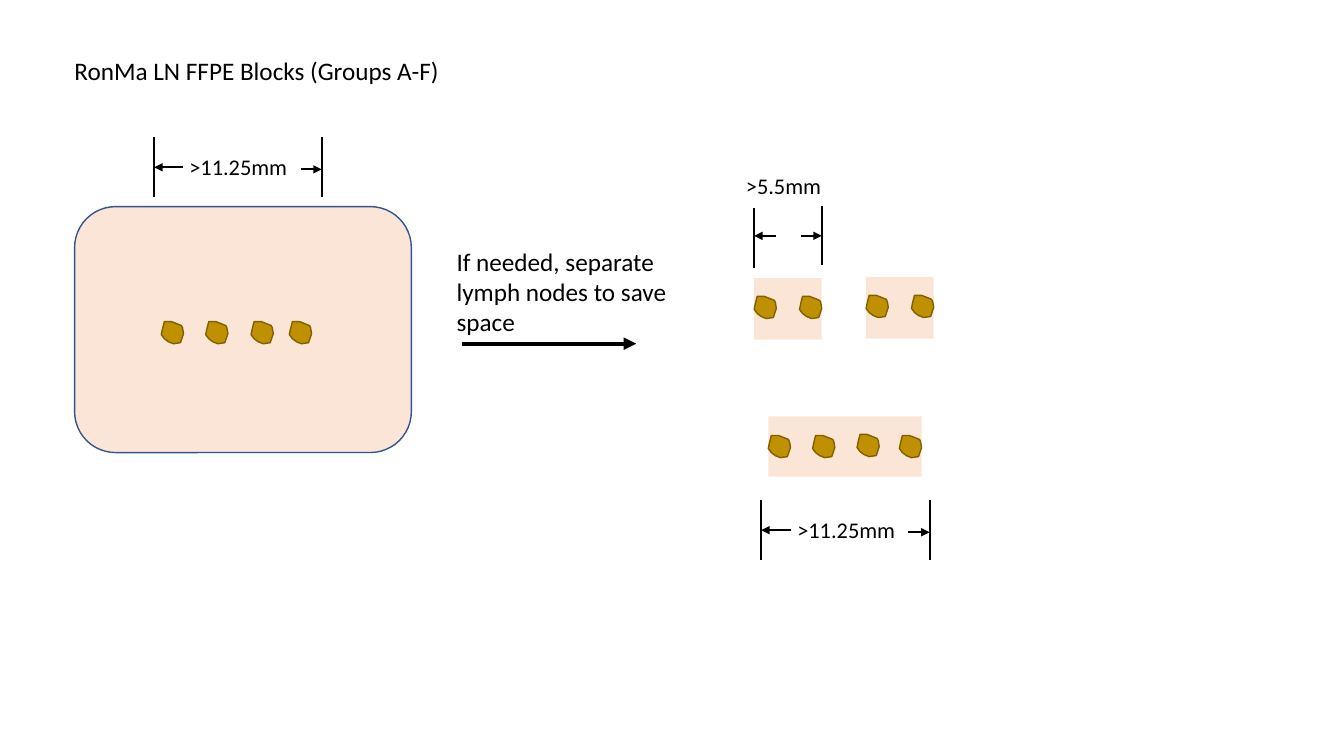
from lxml.etree import SubElement
from pptx import Presentation
from pptx.dml.color import RGBColor
from pptx.enum.shapes import MSO_CONNECTOR, MSO_SHAPE
from pptx.enum.text import MSO_AUTO_SIZE
from pptx.oxml.ns import qn
from pptx.util import Inches, Pt

# Content, lengths in inches
THEME = {
    "font": "Calibri", "text": "000000", "big": 18, "small": 16,
    "tissue": "FBE5D6", "block_line": "325491",
    "node": "BF9000", "node_line": "806000",
    "thin": 1, "rule": 1.5, "thick": 3,
}
TEXTS = [  # left, top, width, height, size, wording
    (1.78, 1.47, 1.74, 0.37, "small", ">11.25mm"),
    (4.43, 2.39, 2.4, 1.01, "big", "If needed, separate lymph nodes to save space"),
    (0.64, 0.5, 4.14, 0.4, "big", "RonMa LN FFPE Blocks (Groups A-F)"),
    (7.81, 5.07, 1.74, 0.37, "small", ">11.25mm"),
    (7.3, 1.66, 1.74, 0.37, "small", ">5.5mm"),
]
BLOCKS = [  # shape, left, top, width, height, outlined, node places
    (MSO_SHAPE.ROUNDED_RECTANGLE, 0.74, 2.05, 3.34, 2.44, True,
     [(1.6, 3.19), (2.04, 3.19), (2.49, 3.19), (2.87, 3.19)]),
    (MSO_SHAPE.RECTANGLE, 7.62, 4.13, 1.52, 0.6, False,
     [(7.62, 4.32), (8.06, 4.32), (8.5, 4.31), (8.92, 4.32)]),
    (MSO_SHAPE.RECTANGLE, 7.48, 2.76, 0.67, 0.61, False,
     [(7.48, 2.94), (7.93, 2.94)]),
    (MSO_SHAPE.RECTANGLE, 8.59, 2.75, 0.67, 0.61, False,
     [(8.59, 2.93), (9.04, 2.93)]),
]
DIMENSIONS = [  # each side: x of rule, top, bottom, arrow start x, arrow y
    ((3.19, 1.36, 1.95, 2.99, 1.68), (1.53, 1.36, 1.95, 1.82, 1.66)),
    ((9.22, 4.96, 5.56, 9.01, 5.28), (7.55, 4.96, 5.56, 7.85, 5.26)),
    ((8.15, 2.04, 2.63, 7.94, 2.34), (7.48, 2.06, 2.66, 7.7, 2.34)),
]
STEP_ARROW = (4.58, 3.41, 6.31, 3.41)
# Lymph node outline, in hundredths of an inch from its left top corner
NODE_OUTLINE = [
    (3, 0), (1, 8), (0, 13), (3, 17), (7, 20), (12, 22), (19, 21), (20, 18),
    (22, 12), (21, 6), (20, 4), (15, 2), (10, 0), (8, 0),
]


def rgb(name):
    return RGBColor.from_string(THEME[name])


def paint(sp, fill, line=None):
    sp.shadow.inherit = False
    sp.fill.solid()
    sp.fill.fore_color.rgb = rgb(fill)
    if line:
        sp.line.color.rgb = rgb(line)
        sp.line.width = Pt(THEME["thin"])
    else:
        sp.line.fill.background()


def add_node(shapes, left, top):
    start, *rest = [(Inches(left + x / 100), Inches(top + y / 100))
                    for x, y in NODE_OUTLINE]
    fb = shapes.build_freeform(*start, scale=1.0)
    fb.add_line_segments(rest, close=True)
    paint(fb.convert_to_shape(), "node", "node_line")


def add_line(shapes, x1, y1, x2, y2, weight="rule", arrow=False):
    line = shapes.add_connector(MSO_CONNECTOR.STRAIGHT,
                                *[Inches(v) for v in (x1, y1, x2, y2)])
    line.line.color.rgb = rgb("text")
    line.line.width = Pt(THEME[weight])
    if arrow:
        SubElement(line.line._get_or_add_ln(), qn("a:tailEnd"), type="triangle")
    SubElement(line._element.spPr, qn("a:effectLst"))


def add_text(shapes, left, top, width, height, size, wording):
    tf = shapes.add_textbox(*[Inches(v) for v in (left, top, width, height)]).text_frame
    tf.word_wrap = True
    tf.auto_size = MSO_AUTO_SIZE.SHAPE_TO_FIT_TEXT
    r = tf.paragraphs[0].add_run()
    r.text = wording
    r.font.name = THEME["font"]
    r.font.size = Pt(THEME[size])
    r.font.color.rgb = rgb("text")


def main():
    prs = Presentation()
    prs.slide_width, prs.slide_height = Inches(13.33), Inches(7.5)
    s = prs.slides.add_slide(prs.slide_layouts[6])

    # Tissue blocks, each grouped with its lymph nodes
    for kind, left, top, width, height, outlined, nodes in BLOCKS:
        group = s.shapes.add_group_shape()
        block = group.shapes.add_shape(
            kind, *[Inches(v) for v in (left, top, width, height)])
        paint(block, "tissue", "block_line" if outlined else None)
        for x, y in nodes:
            add_node(group.shapes, x, y)

    # Step arrow and dimension marks
    add_line(s.shapes, *STEP_ARROW, weight="thick", arrow=True)
    for dimension in DIMENSIONS:
        for x, top, bottom, start, y in dimension:
            add_line(s.shapes, start, y, x, y, arrow=True)
            add_line(s.shapes, x, bottom, x, top)

    # Title, instruction and dimension labels
    for text in TEXTS:
        add_text(s.shapes, *text)

    prs.save("out.pptx")


if __name__ == "__main__":
    main()
